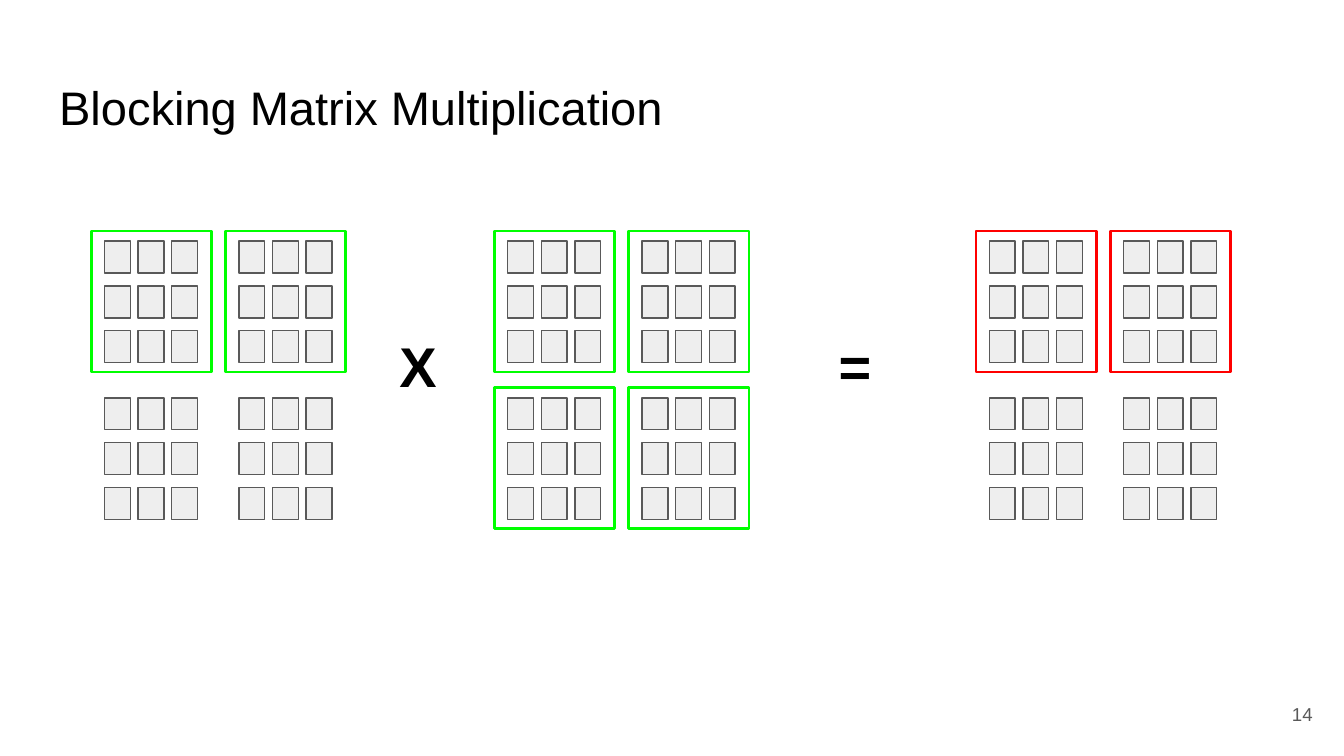
import itertools

import pptx
import pptx.dml.color
import pptx.enum.shapes
import pptx.enum.text
import pptx.util

Pt = pptx.util.Pt
ALIGN = pptx.enum.text.PP_ALIGN
ANCHOR = pptx.enum.text.MSO_ANCHOR
AUTO_SIZE = pptx.enum.text.MSO_AUTO_SIZE

# All lengths in points
MATRIX_TOP = 129.2
CELL_SIZE = (13.9, 17.1)
CELL_PITCH = (18, 24)
BLOCK_PITCH = (72, 84)
FRAME_SIZE = (64.4, 75.6)
FRAME_MARGIN = (7.1, 5.5)
INSET = 7.2

GREEN, RED = "00FF00", "FF0000"
TOP_BLOCKS = [(0, 0), (0, 1)]
ALL_BLOCKS = TOP_BLOCKS + [(1, 0), (1, 1)]

# Left edge, frame colour, framed blocks as (row, column)
MATRICES = [
    (56, GREEN, TOP_BLOCKS),
    (272, GREEN, ALL_BLOCKS),
    (530, RED, TOP_BLOCKS),
]


def colour(hex_string):
    return pptx.dml.color.RGBColor.from_string(hex_string)


def set_attributes(target, values):
    for name, value in values.items():
        setattr(target, name, value)


def write_text(shape, text, size, hex_string, bold=False,
               align=ALIGN.LEFT, anchor=ANCHOR.TOP, auto_size=AUTO_SIZE.NONE):
    frame = shape.text_frame
    frame.text = text
    set_attributes(frame, {
        "margin_left": Pt(INSET), "margin_right": Pt(INSET),
        "margin_top": Pt(INSET), "margin_bottom": Pt(INSET),
        "word_wrap": True, "auto_size": auto_size, "vertical_anchor": anchor,
    })
    paragraph = frame.paragraphs[0]
    paragraph.alignment = align
    font = paragraph.runs[0].font
    set_attributes(font, {"name": "Arial", "size": Pt(size), "bold": bold})
    font.color.rgb = colour(hex_string)


def add_title(slide, text):
    title = slide.shapes.title
    set_attributes(title, {"left": Pt(24.5), "top": Pt(35),
                           "width": Pt(671), "height": Pt(45)})
    write_text(title, text, 25.2, "000000")


def add_text(slide, text, left, top, width, height, **text_format):
    box = slide.shapes.add_textbox(Pt(left), Pt(top), Pt(width), Pt(height))
    write_text(box, text, **text_format)


def add_rectangle(slide, left, top, size, line, line_width, fill=None):
    shape = slide.shapes.add_shape(
        pptx.enum.shapes.MSO_SHAPE.RECTANGLE,
        Pt(left), Pt(top), Pt(size[0]), Pt(size[1]))
    shape.shadow.inherit = False
    shape.line.color.rgb = colour(line)
    shape.line.width = Pt(line_width)
    if fill:
        shape.fill.solid()
        shape.fill.fore_color.rgb = colour(fill)
    else:
        shape.fill.background()


def add_block(slide, left, top, frame_colour=None):
    """Draw 3 x 3 cells, with a frame if a colour is given."""
    for column, row in itertools.product(range(3), repeat=2):
        add_rectangle(slide, left + column * CELL_PITCH[0],
                      top + row * CELL_PITCH[1],
                      CELL_SIZE, "595959", 0.75, "EEEEEE")
    if frame_colour:
        add_rectangle(slide, left - FRAME_MARGIN[0], top - FRAME_MARGIN[1],
                      FRAME_SIZE, frame_colour, 1.5)


def add_matrix(slide, left, frame_colour, framed_blocks):
    """Draw 2 x 2 blocks."""
    for row, column in ALL_BLOCKS:
        add_block(slide, left + column * BLOCK_PITCH[0],
                  MATRIX_TOP + row * BLOCK_PITCH[1],
                  frame_colour if (row, column) in framed_blocks else None)


def main():
    presentation = pptx.Presentation()
    set_attributes(presentation,
                   {"slide_width": Pt(720), "slide_height": Pt(405)})
    slide = presentation.slides.add_slide(presentation.slide_layouts[5])

    add_title(slide, "Blocking Matrix Multiplication")

    # Two factors and their product
    for left, frame_colour, framed_blocks in MATRICES:
        add_matrix(slide, left, frame_colour, framed_blocks)

    # Operators between the matrices
    for symbol, left in (("X", 198), ("=", 432)):
        add_text(slide, symbol, left, 170.6, 52, 51, size=30,
                 hex_string="000000", bold=True, align=ALIGN.CENTER,
                 auto_size=AUTO_SIZE.SHAPE_TO_FIT_TEXT)

    # Slide number
    add_text(slide, "14", 667.1, 367.2, 43.2, 31, size=10,
             hex_string="595959", align=ALIGN.RIGHT, anchor=ANCHOR.MIDDLE)

    presentation.save("out.pptx")


if __name__ == "__main__":
    main()
